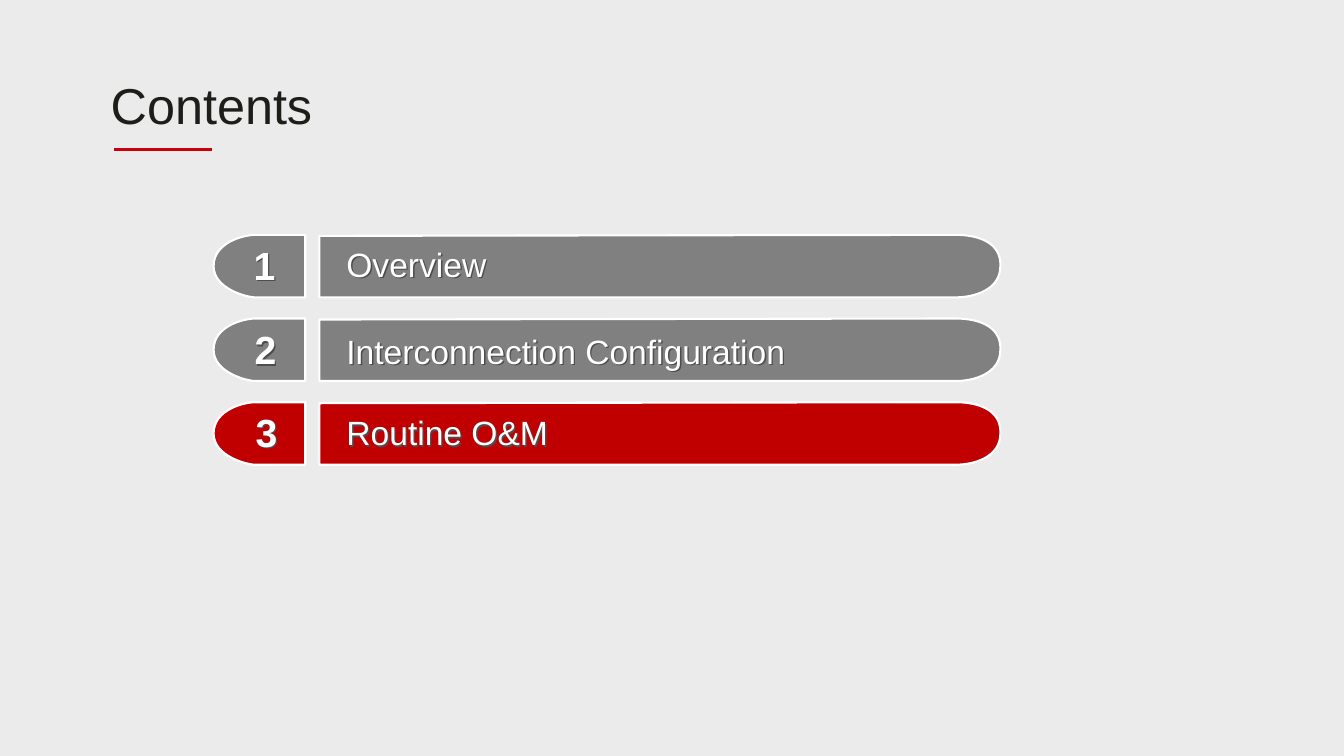
import pptx
import pptx.dml.color
import pptx.enum.shapes
import pptx.enum.text
import pptx.oxml
import pptx.oxml.ns
import pptx.util
from dataclasses import dataclass

PX = 9144
ROW_TOP, ROW_STEP = 233, 83
NS = pptx.oxml.ns.nsdecls("a")
SHADOW = (
    f'<a:effectLst {NS}><a:outerShdw dist="17961" dir="2700000" algn="ctr" rotWithShape="0">'
    '<a:srgbClr val="4D4D4D"/></a:outerShdw></a:effectLst>'
)
SPACE_BEFORE = f'<a:spcBef {NS}><a:spcPct val="50000"/></a:spcBef>'

Point = tuple[int, int]
Box = tuple[int, int, int, int]


@dataclass
class Item:
    number: str
    label: str
    fill: str
    number_at: Point
    label_top: int
    label_width: int


ITEMS = [
    Item("1", "Overview", "808080", (240, 234), 237, 626),
    Item("2", "Interconnection Configuration", "808080", (241, 318), 323, 621),
    Item("3", "Routine O&M", "C00000", (242, 400), 404, 534),
]
BAR = [
    [(317, 1)],
    [(317, 62)],
    [(340, 62), (932, 62), (949, 62)],
    [(966, 62), (993, 55), (993, 31)],
    [(994, 7), (970, 0), (949, 0)],
    [(928, 0), (340, 1), (317, 1)],
]
CAP = [
    [(303, 0)],
    [(303, 31), (303, 62), (303, 62)],
    [(253, 62)],
    [(246, 62), (212, 54), (212, 31)],
    [(212, 7), (243, 0), (253, 0)],
    [(303, 0)],
]


def px(n: int) -> int:
    return n * PX


def color(value: str) -> pptx.dml.color.RGBColor:
    return pptx.dml.color.RGBColor.from_string(value)


def add_outline(shapes, parts: list[list[Point]], top: int, fill: str) -> None:
    points = [(px(x), px(y + top)) for part in parts for x, y in part]
    builder = shapes.build_freeform(*points[0], scale=1.0)
    builder.add_line_segments(points[1:], close=True)
    s = builder.convert_to_shape()
    segments = iter(s._element.xpath(".//a:lnTo"))
    for part in parts[1:]:
        lines = [next(segments) for _ in part]
        if len(lines) == 3:
            curve = pptx.oxml.parse_xml(f"<a:cubicBezTo {NS}/>")
            lines[0].addprevious(curve)
            for line in lines:
                curve.append(line[0])
                line.getparent().remove(line)
    s.shadow.inherit = False
    s.fill.solid()
    s.fill.fore_color.rgb = color(fill)
    s.line.color.rgb = color("FFFFFF")
    s.line.width = pptx.util.Pt(1.5)


def add_text(shapes, text: str, box: Box, size: int, fill: str = "FFFFFF",
             bold: bool = False, wrap: bool = True, shadow: bool = True):
    s = shapes.add_textbox(*map(px, box))
    if shadow:
        s._element.spPr.append(pptx.oxml.parse_xml(SHADOW))
    tf = s.text_frame
    tf.word_wrap = wrap
    tf.auto_size = pptx.enum.text.MSO_AUTO_SIZE.SHAPE_TO_FIT_TEXT
    p = tf.paragraphs[0]
    r = p.add_run()
    r.text = text
    r.font.color.rgb = color(fill)
    for name, value in {"name": "Arial", "size": pptx.util.Pt(size), "bold": bold}.items():
        setattr(r.font, name, value)
    return p


def add_item(shapes, item: Item, top: int) -> None:
    group = shapes.add_group_shape().shapes
    add_outline(group, BAR, top, item.fill)
    add_outline(group, CAP, top, item.fill)
    add_text(group, item.label, (334, item.label_top, item.label_width, 50), 24)
    p = add_text(group, item.number, (*item.number_at, 45, 57), 28, bold=True)
    p.alignment = pptx.enum.text.PP_ALIGN.CENTER
    p._p.get_or_add_pPr().append(pptx.oxml.parse_xml(SPACE_BEFORE))


def main() -> None:
    prs = pptx.Presentation()
    prs.slide_width, prs.slide_height = px(1334), px(750)
    slide = prs.slides.add_slide(prs.slide_layouts[6])
    slide.background.fill.solid()
    slide.background.fill.fore_color.rgb = color("EBEBEB")

    rule = slide.shapes.add_connector(
        pptx.enum.shapes.MSO_CONNECTOR.STRAIGHT, px(210), px(148), px(113), px(148))
    rule.line.color.rgb = color("C7000B")
    rule.line.width = pptx.util.Pt(2.25)
    rule._element.spPr.append(pptx.oxml.parse_xml(f"<a:effectLst {NS}/>"))

    add_text(slide.shapes, "Contents", (100, 69, 222, 71), 36, "1D1D1A", wrap=False, shadow=False)
    for row, item in enumerate(ITEMS):
        add_item(slide.shapes, item, ROW_TOP + row * ROW_STEP)
    prs.save("out.pptx")


if __name__ == "__main__":
    main()
